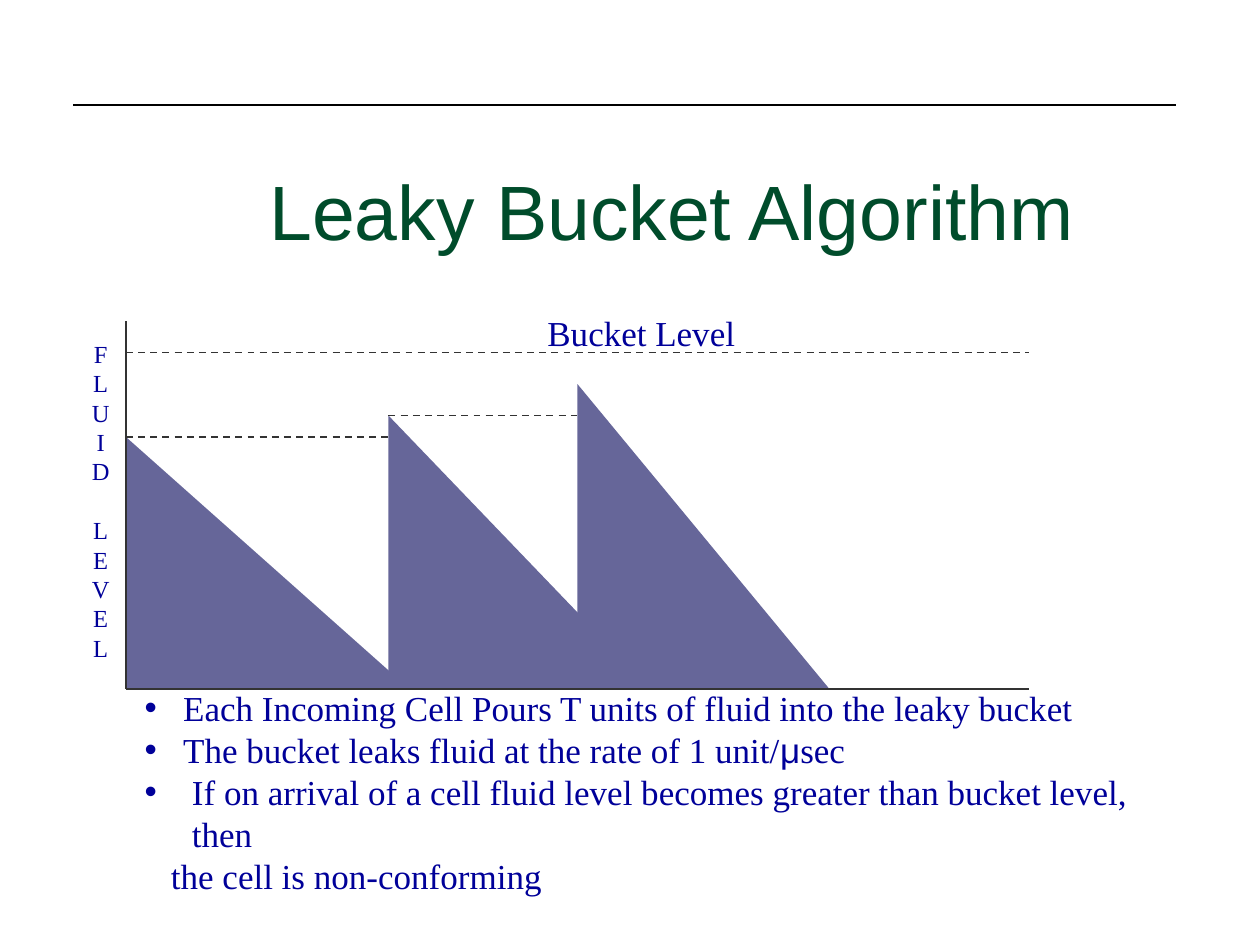
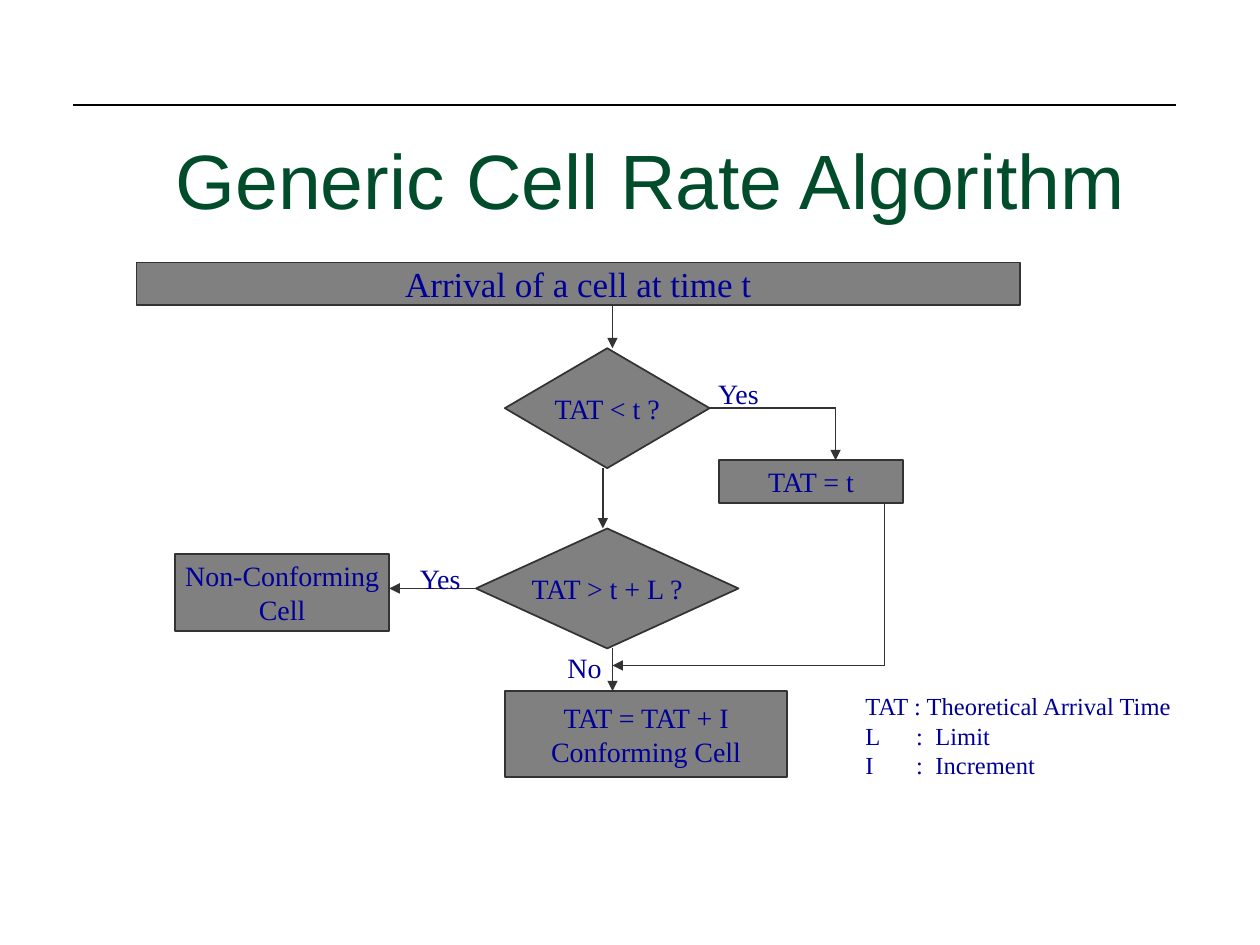
from pptx import Presentation
from pptx.dml.color import RGBColor
from pptx.enum.dml import MSO_LINE
from pptx.enum.shapes import MSO_CONNECTOR, MSO_SHAPE as SHAPE
from pptx.enum.text import MSO_ANCHOR as ANCHOR, MSO_AUTO_SIZE, PP_ALIGN as ALIGN
from pptx.oxml.ns import qn
from pptx.util import Pt
from lxml import etree

COLORS = {"title": "004C2B", "text": "000099", "line": "333333", "rule": "000000",
          "fluid": "666699", "box": "808080"}
SERIF, SANS = "Times New Roman", "Arial"

# Slide 1: fluid level over time
BUCKET = {"title": "Leaky Bucket Algorithm", "title_at": (78, 78, 612, 72)}
AXIS_X, AXIS_TOP, AXIS_END, BASE = 72, 183.5, 588, 393.75
BUCKET_LEVEL = 201.5
POURS = [(72, 162, 249.75), (222, 150, 237.5), (330, 144, 219.5)]  # left, width, peak
AXIS_WORDS = ["FLUID", "LEVEL"]
# Runs, text indent, bulleted
RULES = [
    ([("Each Incoming Cell Pours T units of fluid into the leaky bucket", SERIF)], 22, True),
    ([("The bucket leaks fluid at the rate of 1 unit/", SERIF), ("μ", SANS),
      ("sec", SERIF)], 22, True),
    ([("If on arrival of a cell fluid level becomes greater than bucket level, then",
       SERIF)], 27, True),
    ([("the cell is non-conforming", SERIF)], 15, False),
]

# Slide 2: flow chart
GCRA = {"title": "Generic Cell Rate Algorithm", "title_at": (66, 72, 612, 60)}
RECT, DECISION = SHAPE.RECTANGLE, SHAPE.FLOWCHART_DECISION
STEPS = [
    (RECT, (78, 150, 505, 24.5), ["Arrival of a cell at time t"], 20),
    (DECISION, (288.5, 199, 117, 68.5), ["TAT < t ?"], 16),
    (DECISION, (272, 302, 150, 68.5), ["TAT > t + L ?"], 16),
    (RECT, (288.75, 395, 161, 49), ["TAT = TAT + I", "Conforming Cell"], 16),
    (RECT, (411, 263, 105, 24.5), ["TAT = t"], 16),
    (RECT, (100, 316.5, 122.5, 44), ["Non-Conforming", "Cell"], 16),
]
# Each path ends in an arrowhead
PATHS = [
    [(350, 174.5), (350, 199)],
    [(344.5, 267.5), (344.5, 302)],
    [(350, 370.5), (350, 395)],
    [(405.5, 233.25), (477.5, 233.25), (477.5, 263)],
    [(505.5, 287.5), (505.5, 380.25), (350, 380.25)],
    [(272, 336.25), (222.5, 336.25)],
]
ANSWERS = [("Yes", (402.5, 211.5, 39, 26.5)), ("Yes", (232, 317, 39, 26.5)),
           ("No", (317, 368, 34, 26.5))]
LEGEND = ["TAT : Theoretical Arrival Time", "L\t:\tLimit", "I\t:\tIncrement"]
LEGEND_TABS = (29, 40)


def rgb(name):
    return RGBColor.from_string(COLORS[name])


def pts(*values):
    return [Pt(v) for v in values]


def add_run(p, text, size, font=SERIF, color="text"):
    r = p.add_run()
    r.text = text
    r.font.size, r.font.name = Pt(size), font
    r.font.color.rgb = rgb(color)


def write(tf, lines, size, align=ALIGN.CENTER):
    tf.word_wrap = False
    tf.vertical_anchor = ANCHOR.MIDDLE
    for i, line in enumerate(lines):
        p = tf.add_paragraph() if i else tf.paragraphs[0]
        p.alignment = align
        add_run(p, line, size)
    return tf


def add_text(slide, at, lines, size, align=ALIGN.CENTER):
    return write(slide.shapes.add_textbox(*pts(*at)).text_frame, lines, size, align)


def add_shape(slide, kind, at, fill, line=None):
    sp = slide.shapes.add_shape(kind, *pts(*at))
    sp.shadow.inherit = False
    sp.fill.solid()
    sp.fill.fore_color.rgb = rgb(fill)
    if line:
        sp.line.color.rgb, sp.line.width = rgb(line), Pt(1)
    else:
        sp.line.fill.background()
    return sp


def add_line(slide, start, end, color="line", width=1, dashed=False, arrow=False):
    ln = slide.shapes.add_connector(MSO_CONNECTOR.STRAIGHT, *pts(*start, *end))
    ln.line.color.rgb, ln.line.width = rgb(color), Pt(width)
    if dashed:
        ln.line.dash_style = MSO_LINE.DASH
    sp_pr = ln._element.spPr
    if arrow:
        etree.SubElement(sp_pr.find(qn("a:ln")), qn("a:tailEnd"), type="triangle")
    etree.SubElement(sp_pr, qn("a:effectLst"))


def place(sp, at):
    sp.left, sp.top, sp.width, sp.height = pts(*at)
    sp.text_frame.auto_size = MSO_AUTO_SIZE.NONE
    return sp.text_frame


def new_slide(prs, layout, head):
    slide = prs.slides.add_slide(prs.slide_layouts[layout])
    add_line(slide, (42, 60), (672, 60), "rule", 0.75)
    tf = place(slide.shapes.title, head["title_at"])
    tf.vertical_anchor = ANCHOR.BOTTOM
    p = tf.paragraphs[0]
    p.alignment = ALIGN.CENTER
    add_run(p, head["title"], 44, SANS, "title")
    return slide


def set_bullet(p, indent, bulleted):
    p_pr = p._p.get_or_add_pPr()
    p_pr.set("marL", str(Pt(indent)))
    p_pr.set("indent", str(-Pt(indent) if bulleted else 0))
    if bulleted:
        color = etree.SubElement(p_pr, qn("a:buClr"))
        etree.SubElement(color, qn("a:srgbClr"), val=COLORS["text"])
        etree.SubElement(p_pr, qn("a:buChar"), char="•")
    else:
        etree.SubElement(p_pr, qn("a:buNone"))


def set_tabs(p, stops):
    tabs = etree.SubElement(p._p.get_or_add_pPr(), qn("a:tabLst"))
    for stop in stops:
        etree.SubElement(tabs, qn("a:tab"), pos=str(Pt(stop)), algn="l")


def leaky_bucket(prs):
    slide = new_slide(prs, 1, BUCKET)

    # Fluid triangles, axes and dashed levels
    for x, width, peak in POURS:
        add_shape(slide, SHAPE.RIGHT_TRIANGLE, (x, peak, width, BASE - peak), "fluid")
    add_line(slide, (AXIS_X, AXIS_TOP), (AXIS_X, BASE))
    add_line(slide, (AXIS_X, BASE), (AXIS_END, BASE))
    add_line(slide, (AXIS_X, BUCKET_LEVEL), (AXIS_END, BUCKET_LEVEL), dashed=True)
    for (x, _, peak), (next_x, _, _) in zip(POURS, POURS[1:]):
        add_line(slide, (x, peak), (next_x, peak), dashed=True)

    # Labels
    add_text(slide, (291.5, 174, 150, 32), ["Bucket Level"], 20)
    tf = add_text(slide, (43, 190, 29, 192), "".join(AXIS_WORDS), 14)
    tf.paragraphs[len(AXIS_WORDS[0])].space_before = Pt(16.8)

    # Rules of the algorithm
    tf = place(slide.placeholders[1], (75.5, 400.5, 605.5, 103.5))
    tf.vertical_anchor = ANCHOR.MIDDLE
    for i, (runs, indent, bulleted) in enumerate(RULES):
        p = tf.add_paragraph() if i else tf.paragraphs[0]
        p.space_before = Pt(0)
        set_bullet(p, indent, bulleted)
        for text, font in runs:
            add_run(p, text, 20, font)


def cell_rate(prs):
    slide = new_slide(prs, 5, GCRA)

    # Steps and arrows
    for kind, at, lines, size in STEPS:
        write(add_shape(slide, kind, at, "box", "line").text_frame, lines, size)
    for path in PATHS:
        for start, end in zip(path, path[1:]):
            add_line(slide, start, end, arrow=end == path[-1])

    # Answers and legend
    for text, at in ANSWERS:
        add_text(slide, at, [text], 16)
    tf = add_text(slide, (487.5, 391.5, 193.5, 57.5), LEGEND, 14, ALIGN.LEFT)
    for p in tf.paragraphs[1:]:
        set_tabs(p, LEGEND_TABS)


def main():
    prs = Presentation()
    prs.slide_width, prs.slide_height = pts(720, 540)
    leaky_bucket(prs)
    cell_rate(prs)
    prs.save("out.pptx")


if __name__ == "__main__":
    main()
